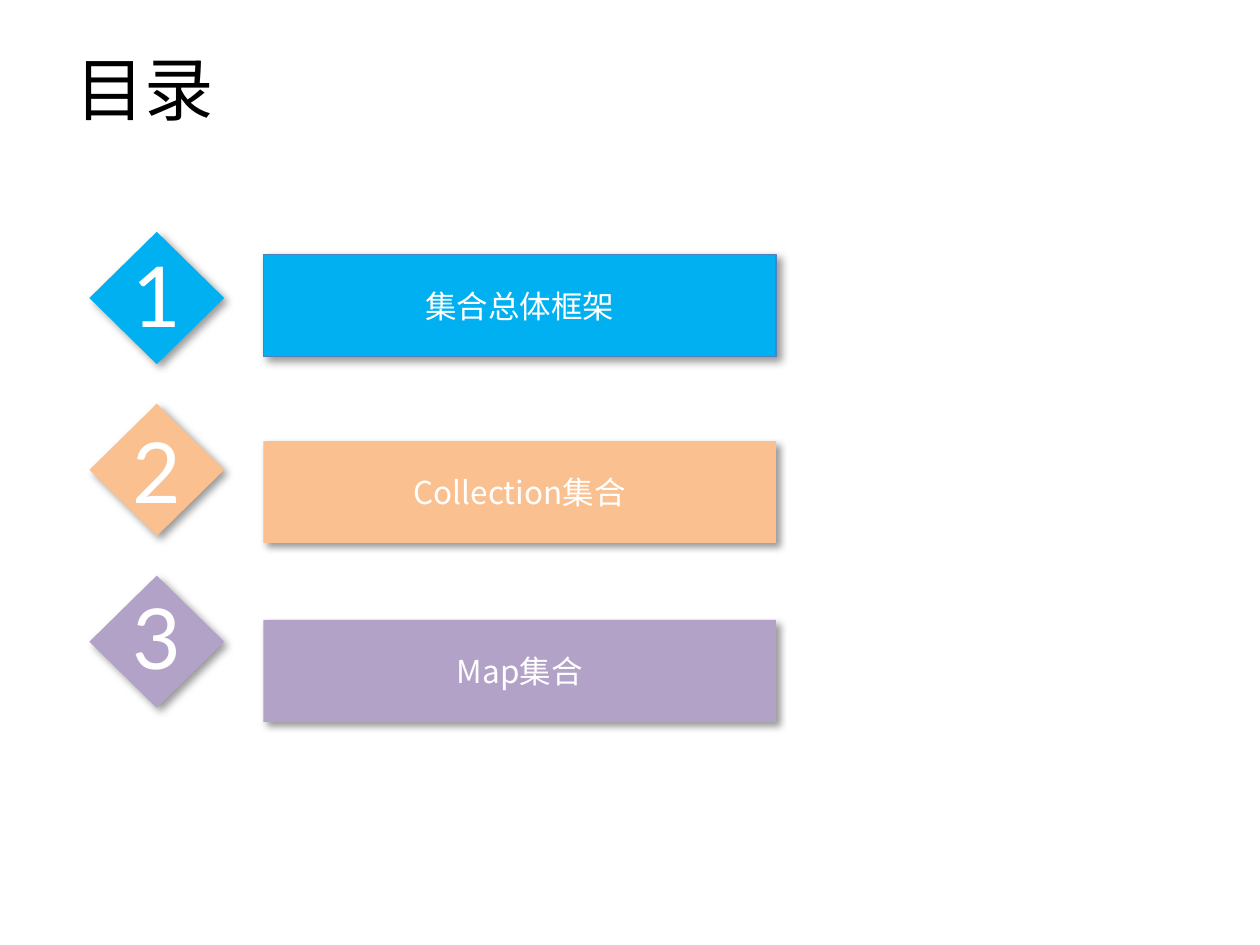
from lxml.etree import SubElement
from pptx import Presentation
from pptx.dml.color import RGBColor
from pptx.enum.shapes import MSO_SHAPE
from pptx.enum.text import MSO_ANCHOR, PP_ALIGN
from pptx.oxml.ns import qn
from pptx.util import Pt

TITLE = "目录"
# number, topic, colour, border, number top, bar top, shadow blur
CHAPTERS = [
    ("1", "集合总体框架", "00B0F0", "4F81BD", 135.4, 145.4, 5),
    ("2", "Collection集合", "FAC090", None, 236.2, 252, 4),
    ("3", "Map集合", "B3A2C7", None, 331.2, 354.2, 4),
]
DIAMOND_LEFT, DIAMOND_TOP, DIAMOND_PITCH = 51.1, 132.5, 98.2
DIAMOND_SIZE = (77, 75.6)
NUMBER_LEFT, NUMBER_SIZE = 68.4, (43.2, 60.5)
BAR_LEFT, BAR_SIZE = 150.5, (293, 58.3)

CJK_FONT = "Noto Sans CJK SC"
TITLE_FORMAT = {"size": Pt(39.6), "name": CJK_FONT}
NUMBER_FORMAT = {"size": Pt(48), "name": "Lato"}
TOPIC_FORMAT = {"size": Pt(18), "name": CJK_FONT}


def rgb(color):
    return RGBColor.from_string(color)


def write(holder, text, font_format, color, **frame_format):
    frame = holder.text_frame
    for key, value in frame_format.items():
        setattr(frame, key, value)
    run = frame.paragraphs[0].add_run()
    run.text = text
    for key, value in font_format.items():
        setattr(run.font, key, value)
    run.font.color.rgb = rgb(color)
    SubElement(run.font._element, qn("a:ea"), typeface=font_format["name"])
    return frame.paragraphs[0]


def add_text(slide, left, top, size, *text_args, **frame_format):
    box = slide.shapes.add_textbox(Pt(left), Pt(top), *map(Pt, size))
    write(box, *text_args, **frame_format)


def add_block(slide, kind, left, top, size, fill, border, blur):
    block = slide.shapes.add_shape(kind, Pt(left), Pt(top), *map(Pt, size))
    block.fill.solid()
    block.fill.fore_color.rgb = rgb(fill)
    if border:
        block.line.color.rgb = rgb(border)
        block.line.width = Pt(0.75)
    else:
        block.line.fill.background()
    # Soft shadow towards the lower right
    block.shadow.inherit = False
    effects = block._element.spPr.find(qn("a:effectLst"))
    shadow = SubElement(effects, qn("a:outerShdw"), blurRad=str(Pt(blur)),
                        dist=str(Pt(3)), dir="2700000", algn="tl", rotWithShape="0")
    shade = SubElement(shadow, qn("a:srgbClr"), val="000000")
    SubElement(shade, qn("a:alpha"), val="40000")
    return block


def main():
    deck = Presentation()
    deck.slide_width, deck.slide_height = Pt(720), Pt(540)
    slide = deck.slides.add_slide(deck.slide_layouts[6])

    add_text(slide, 36, 21.6, (648, 56.9), TITLE, TITLE_FORMAT, "000000",
             word_wrap=True, vertical_anchor=MSO_ANCHOR.MIDDLE)

    for row, (number, topic, color, border, number_top, bar_top, blur) in enumerate(CHAPTERS):
        # Numbered diamond
        add_block(slide, MSO_SHAPE.DIAMOND, DIAMOND_LEFT,
                  DIAMOND_TOP + row * DIAMOND_PITCH, DIAMOND_SIZE, color, None, 5)
        add_text(slide, NUMBER_LEFT, number_top, NUMBER_SIZE,
                 number, NUMBER_FORMAT, "FFFFFF", word_wrap=False)
        # Topic bar
        bar = add_block(slide, MSO_SHAPE.RECTANGLE, BAR_LEFT, bar_top, BAR_SIZE,
                        color, border, blur)
        line = write(bar, topic, TOPIC_FORMAT, "FFFFFF",
                     word_wrap=True, vertical_anchor=MSO_ANCHOR.MIDDLE)
        line.alignment = PP_ALIGN.CENTER

    deck.save("out.pptx")


if __name__ == "__main__":
    main()
